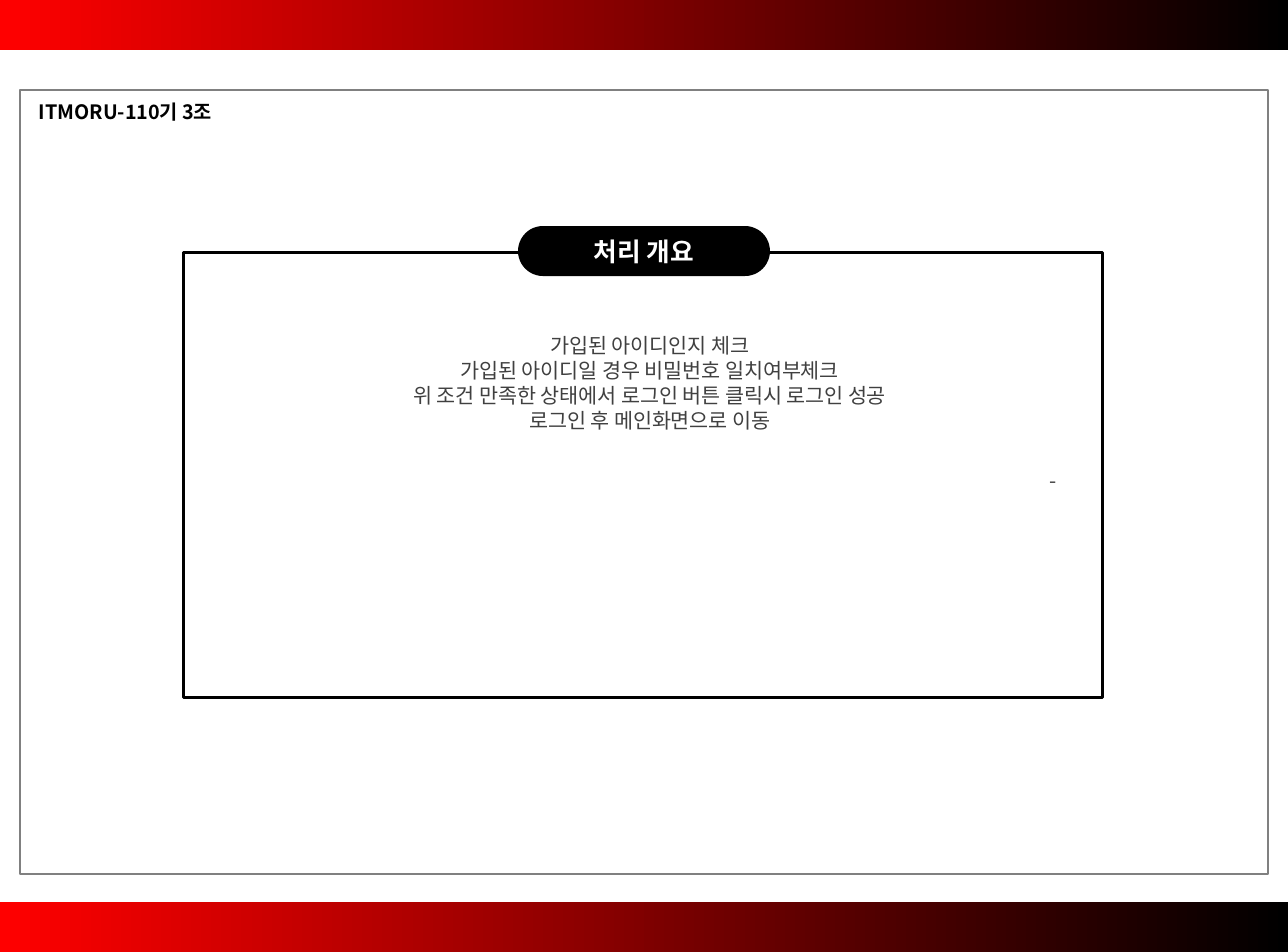
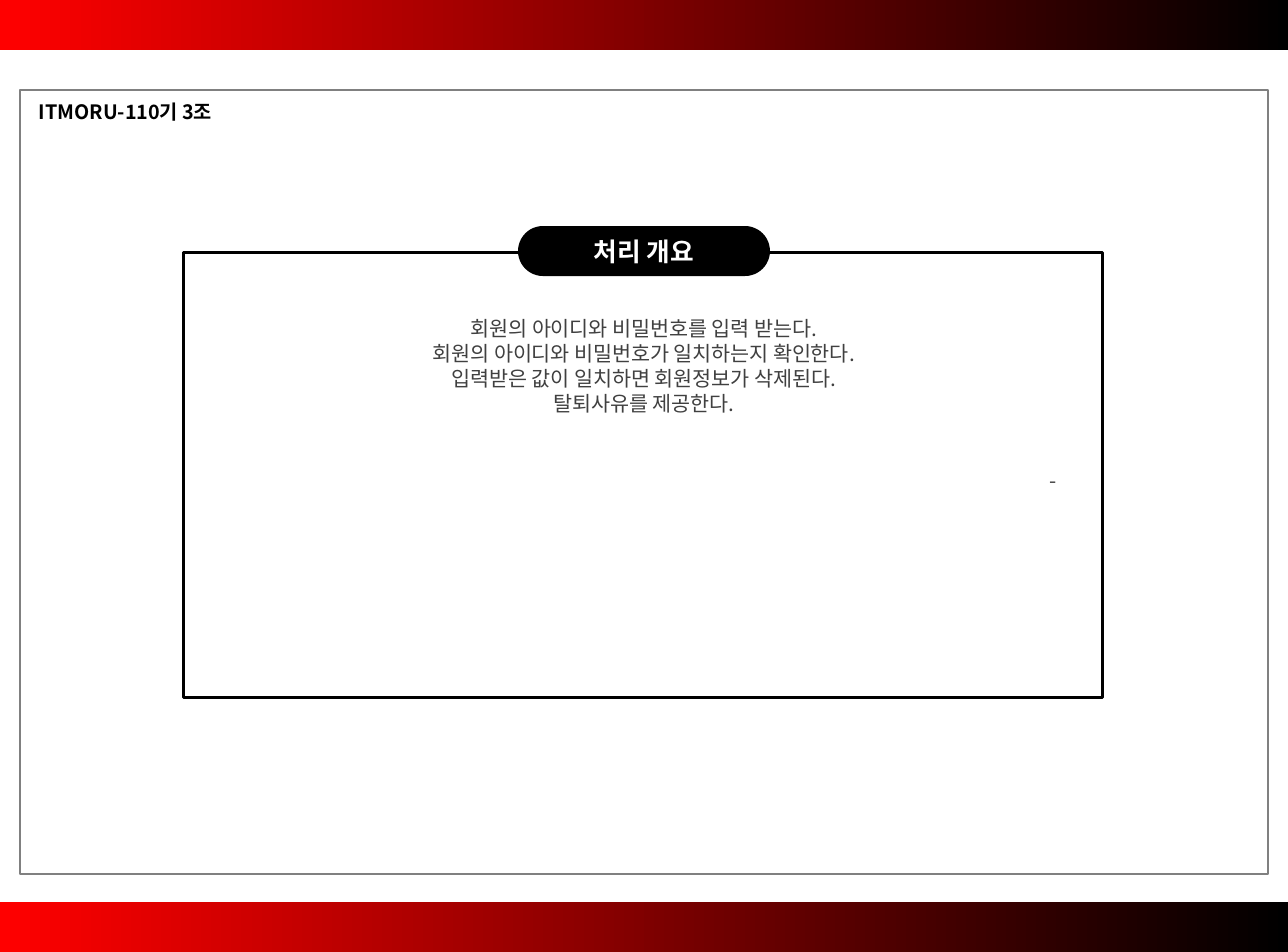
from dataclasses import dataclass

from lxml.etree import SubElement
from pptx import Presentation
from pptx.dml.color import RGBColor
from pptx.enum.shapes import MSO_SHAPE
from pptx.enum.text import MSO_ANCHOR, MSO_AUTO_SIZE, PP_ALIGN
from pptx.oxml.ns import qn
from pptx.util import Emu, Pt

SCALE = 6430
WIDTH, HEIGHT, BAND = 1288, 952, 50


@dataclass(frozen=True)
class Theme:
    """Colours, font and type sizes of the deck."""
    black: str = "000000"
    white: str = "FFFFFF"
    red: str = "FF0000"
    grey: str = "808080"
    ink: str = "404040"
    font: str = "Noto Sans CJK KR"
    small: float = 10
    body: float = 10.5
    title: float = 13


THEME = Theme()
PAGES = [
    ((246, 326, 808, 114), [
        "가입된 아이디인지 체크",
        "가입된 아이디일 경우 비밀번호 일치여부체크",
        "위 조건 만족한 상태에서 로그인 버튼 클릭시 로그인 성공",
        "로그인 후 메인화면으로 이동",
    ]),
    ((240, 309, 808, 138), [
        "회원의 아이디와 비밀번호를 입력 받는다.",
        "회원의 아이디와 비밀번호가 일치하는지 확인한다.",
        "입력받은 값이 일치하면 회원정보가 삭제된다.",
        "탈퇴사유를 제공한다.",
    ]),
]


def px(*sizes):
    """Turn pixels into EMU."""
    return [Emu(size * SCALE) for size in sizes]


def rgb(code):
    """Turn a hex code into a colour."""
    return RGBColor.from_string(code)


def write(frame, lines, size, color, bold=False, align=PP_ALIGN.CENTER, inset=(14, 7)):
    """Fill a text frame with one paragraph per line."""
    frame.word_wrap = True
    side, edge = px(*inset)
    frame.margin_left = frame.margin_right = side
    frame.margin_top = frame.margin_bottom = edge
    for index, line in enumerate(lines):
        para = frame.add_paragraph() if index else frame.paragraphs[0]
        para.alignment = align
        run = para.add_run()
        run.text = line
        font = run.font
        font.size, font.bold, font.name = Pt(size), bold, THEME.font
        font.color.rgb = rgb(color)
        SubElement(run._r.get_or_add_rPr(), qn("a:ea"), typeface=THEME.font)


def label(slide, area, lines, size, color, **style):
    """Add a text box that grows with its text."""
    frame = slide.shapes.add_textbox(*px(*area)).text_frame
    write(frame, lines, size, color, **style)
    frame.auto_size = MSO_AUTO_SIZE.SHAPE_TO_FIT_TEXT


def shape(slide, kind, area):
    """Add a plain shape with no shadow, fill or line."""
    item = slide.shapes.add_shape(kind, *px(*area))
    item.shadow.inherit = False
    item.fill.background()
    item.line.fill.background()
    return item


def band(slide, top):
    """Add a red to black band across the slide."""
    fill = shape(slide, MSO_SHAPE.RECTANGLE, (0, top, WIDTH, BAND)).fill
    fill.gradient()
    fill.gradient_angle = 180
    for stop, color in zip(fill.gradient_stops, (THEME.black, THEME.red)):
        stop.color.rgb = rgb(color)


def box(slide, area, color, width):
    """Add an outlined rectangle."""
    line = shape(slide, MSO_SHAPE.RECTANGLE, area).line
    line.color.rgb = rgb(color)
    line.width = Pt(width)


def pill(slide, area, text):
    """Add a black heading with round ends."""
    item = shape(slide, MSO_SHAPE.ROUNDED_RECTANGLE, area)
    item.adjustments[0] = 0.5
    item.fill.solid()
    item.fill.fore_color.rgb = rgb(THEME.black)
    item.text_frame.vertical_anchor = MSO_ANCHOR.MIDDLE
    write(item.text_frame, [text], THEME.title, THEME.white, bold=True, inset=(13, 6))


def page(deck, area, lines):
    """Add one overview slide."""
    slide = deck.slides.add_slide(deck.slide_layouts[6])
    for top in (0, HEIGHT - BAND):
        band(slide, top)
    box(slide, (184, 253, 919, 445), THEME.black, 1.5)
    pill(slide, (518, 226, 252, 50), "처리 개요")
    label(slide, (859, 461, 388, 38), ["-"], THEME.body, THEME.ink)
    label(slide, area, lines, THEME.body, THEME.ink)
    box(slide, (20, 90, 1248, 784), THEME.grey, 1)
    label(slide, (26, 94, 573, 37), ["ITMORU-110기 3조"], THEME.small, THEME.black,
          bold=True, align=PP_ALIGN.LEFT, inset=(13, 6))


def main():
    """Build and save the deck."""
    deck = Presentation()
    deck.slide_width, deck.slide_height = px(WIDTH, HEIGHT)
    for area, lines in PAGES:
        page(deck, area, lines)
    deck.save("out.pptx")


if __name__ == "__main__":
    main()
